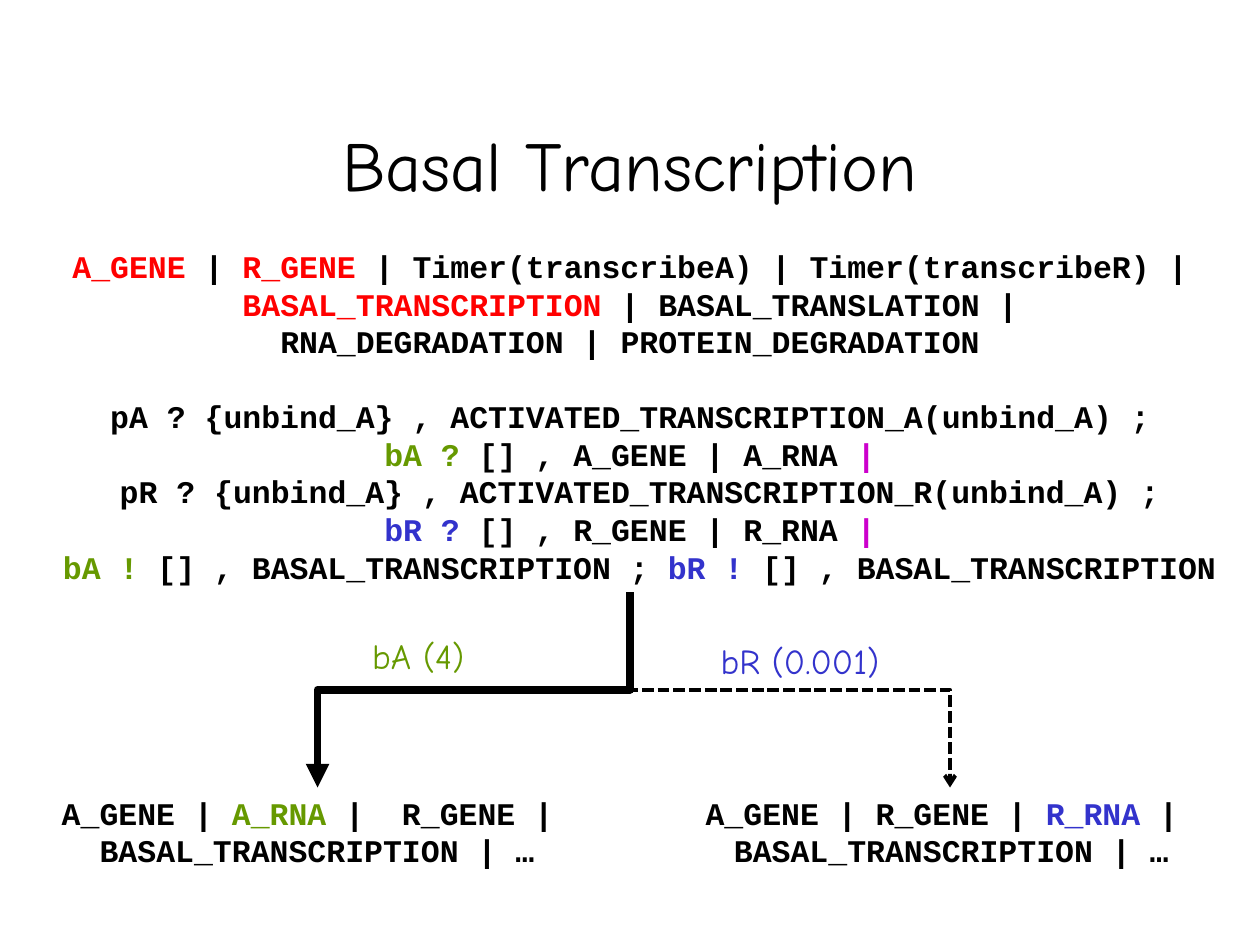
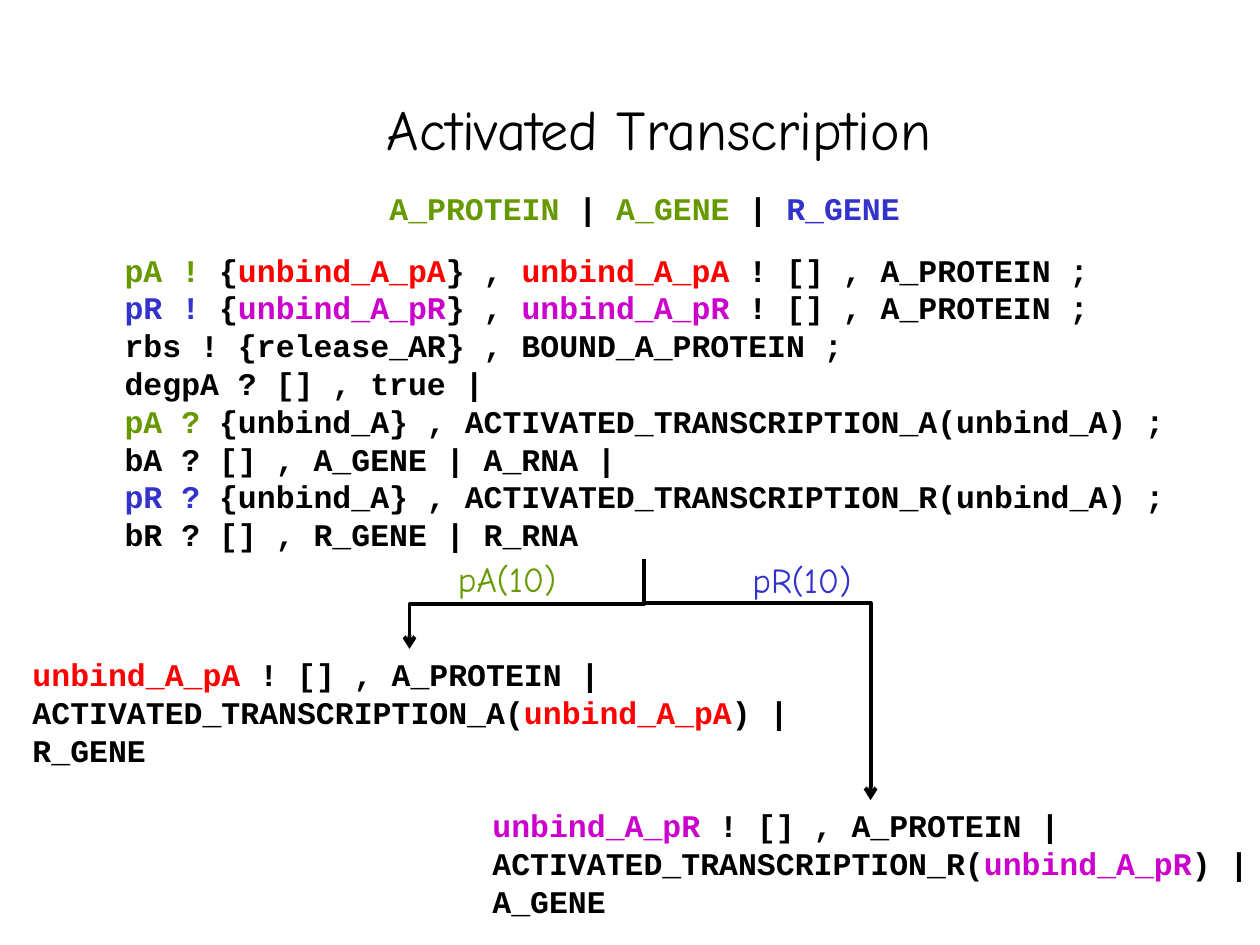
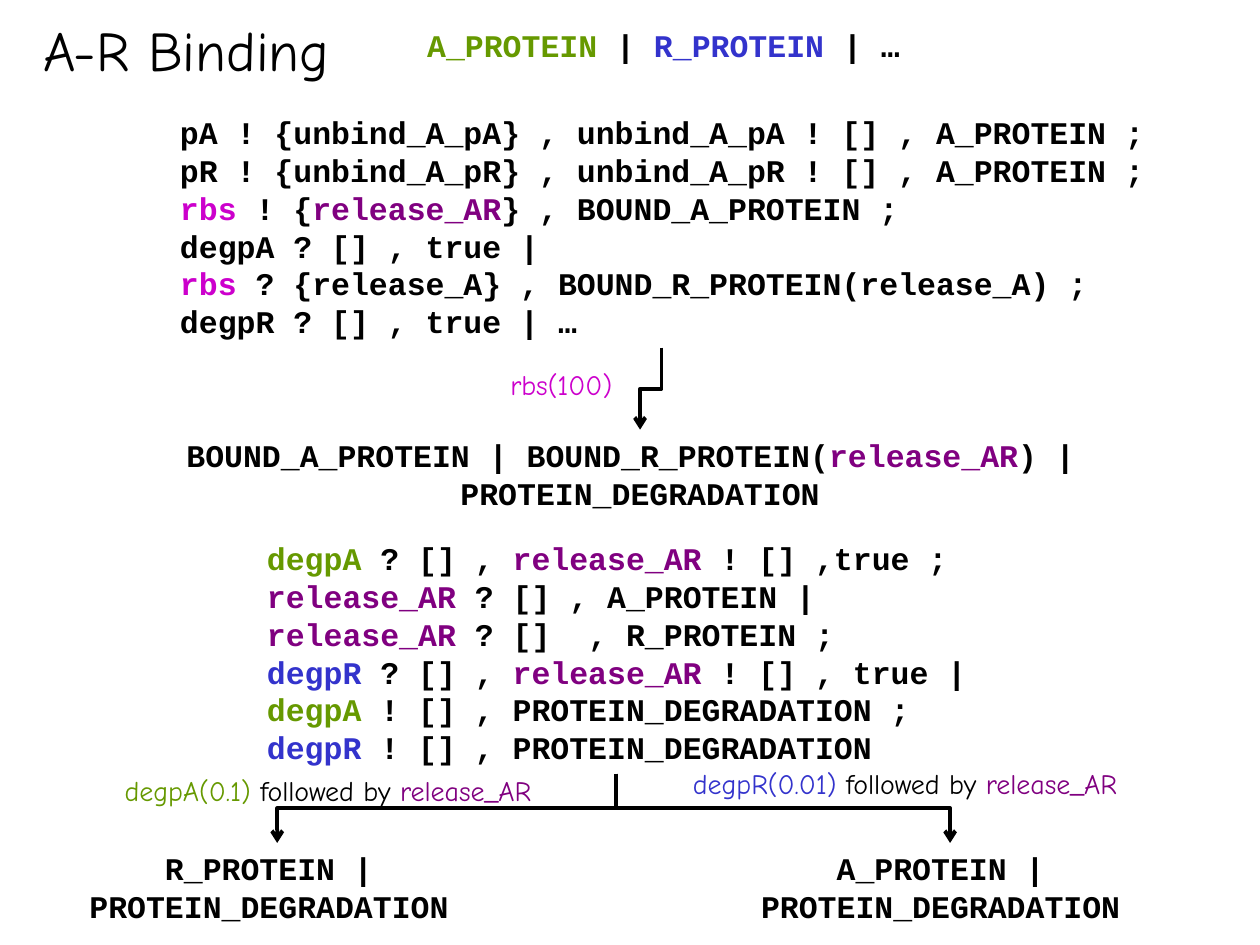
from copy import deepcopy

from lxml import etree
from pptx import Presentation
from pptx.dml.color import RGBColor
from pptx.enum.dml import MSO_LINE
from pptx.enum.shapes import MSO_CONNECTOR
from pptx.enum.text import MSO_ANCHOR, MSO_AUTO_SIZE, PP_ALIGN
from pptx.oxml.ns import qn
from pptx.util import Pt

ELBOW = MSO_CONNECTOR.ELBOW
DOTTED = MSO_LINE.SQUARE_DOT
MIDDLE, TOP = MSO_ANCHOR.MIDDLE, MSO_ANCHOR.TOP
FIXED, GROW = MSO_AUTO_SIZE.NONE, MSO_AUTO_SIZE.SHAPE_TO_FIT_TEXT
LEFT, CENTER = PP_ALIGN.LEFT, PP_ALIGN.CENTER

EMU_PER_PX = 9144  # 100 px to the inch
TITLE_ONLY = 5
HAND_FONT, CODE_FONT = "Comic Neue", "Courier New"
COLORS = {
    "black": "000000",
    "white": "FFFFFF",
    "red": "FF0000",
    "green": "669900",
    "blue": "3333CC",
    "pink": "CC00CC",
    "purple": "800080",
}


def px(length):
    return round(length * EMU_PER_PX)


def rgb(name):
    return RGBColor.from_string(COLORS[name])


def colored_pieces(line):
    """Split 'plain <green:word> plain' into (text, colour) pairs."""
    plain, *marked = line.split("<")
    pieces = [(plain, "black")]
    for part in marked:
        color, rest = part.split(":", 1)
        word, after = rest.split(">", 1)
        pieces += [(word, color), (after, "black")]
    return [piece for piece in pieces if piece[0]]


class Deck:
    def __init__(self):
        self.prs = Presentation()
        self.prs.slide_width, self.prs.slide_height = px(1000), px(750)
        self.slide = None

    def new_slide(self, title, box, size):
        self.slide = self.prs.slides.add_slide(self.prs.slide_layouts[TITLE_ONLY])
        heading = self.slide.shapes.title
        heading.left, heading.top, heading.width, heading.height = map(px, box)
        frame = heading.text_frame
        frame.text = title
        frame.auto_size, frame.vertical_anchor = FIXED, MIDDLE
        frame.paragraphs[0].alignment = CENTER
        self.style_run(frame.paragraphs[0].runs[0], HAND_FONT, size, "black")

    def style_run(self, run, font, size, color, bold=False):
        run.font.name, run.font.size, run.font.bold = font, Pt(size), bold
        run.font.color.rgb = rgb(color)

    def text_box(self, box, text, font, size, bold, align, wrap=False):
        """Add a text box; line breaks take the format of the run before."""
        shape = self.slide.shapes.add_textbox(*map(px, box))
        frame = shape.text_frame
        frame.word_wrap = wrap
        paragraph = frame.paragraphs[0]
        paragraph.alignment = align
        for number, line in enumerate(text.split("\n")):
            if number:
                last_run = paragraph.runs[-1]._r
                paragraph.add_line_break()
                last_run.getnext().append(deepcopy(last_run.rPr))
            for piece, color in colored_pieces(line):
                run = paragraph.add_run()
                run.text = piece
                self.style_run(run, font, size, color, bold)
        return shape

    def code(self, box, text, align=CENTER, wrap=False):
        shape = self.text_box(box, text, CODE_FONT, 18, True, align, wrap)
        shape.text_frame.auto_size = GROW
        shape.text_frame.vertical_anchor = TOP

    def label(self, box, text, size=20, filled=False):
        shape = self.text_box(box, text, HAND_FONT, size, False, CENTER)
        shape.text_frame.auto_size = FIXED
        shape.text_frame.vertical_anchor = MIDDLE
        if filled:
            shape.fill.solid()
            shape.fill.fore_color.rgb = rgb("white")

    def arrow(self, start, end, weight=2.25, head="arrow", dash=None, bend=50):
        """Elbow arrow that leaves downwards and turns at bend percent."""
        (x1, y1), (x2, y2) = start, end
        mid_x, mid_y = (x1 + x2) / 2, (y1 + y2) / 2
        half_w, half_h = (y2 - y1) / 2, abs(x2 - x1) / 2
        corners = (mid_x - half_w, mid_y - half_h, mid_x + half_w, mid_y + half_h)
        link = self.slide.shapes.add_connector(ELBOW, *map(px, corners))
        link.line.color.rgb = rgb("black")
        link.line.width = Pt(weight)
        if dash:
            link.line.dash_style = dash
        # Turn the elbow upright
        properties = link._element.spPr
        xfrm = properties.find(qn("a:xfrm"))
        to_right = x2 > x1
        xfrm.set("rot", str((270 if to_right else 90) * 60000))
        if to_right:
            xfrm.set("flipH", "1")
        adjust = properties.find(qn("a:prstGeom")).find(qn("a:avLst"))
        etree.SubElement(adjust, qn("a:gd"), name="adj1", fmla=f"val {bend * 1000}")
        # Arrowhead, and no shadow
        outline = properties.find(qn("a:ln"))
        etree.SubElement(outline, qn("a:tailEnd"), type=head)
        etree.SubElement(properties, qn("a:effectLst"))


def basal_transcription(deck):
    deck.new_slide("Basal Transcription", (75, 67, 850, 125), 40)
    # System and its expansion
    deck.code((0, 191, 1000, 100),
              "<red:A_GENE> | <red:R_GENE> | Timer(transcribeA) | Timer(transcribeR) | "
              "<red:BASAL_TRANSCRIPTION> | BASAL_TRANSLATION |\n"
              "RNA_DEGRADATION | PROTEIN_DEGRADATION", wrap=True)
    deck.code((25, 310, 950, 160),
              "pA ? {unbind_A} , ACTIVATED_TRANSCRIPTION_A(unbind_A) ;\n"
              "<green:bA ?> [] , A_GENE | A_RNA <pink:|>\n"
              " pR ? {unbind_A} , ACTIVATED_TRANSCRIPTION_R(unbind_A) ;\n"
              "<blue:bR ?> [] , R_GENE | R_RNA <pink:|>\n"
              " <green:bA !> [] , BASAL_TRANSCRIPTION ; "
              "<blue:bR !> [] , BASAL_TRANSCRIPTION")
    # Rates
    deck.label((260, 499, 144, 42), "<green:bA (4)>")
    deck.label((563, 503, 144, 42), "<blue:bR (0.001)>")
    # Outcomes
    deck.code((39, 625, 425, 70),
              "A_GENE | <green:A_RNA> |  R_GENE | \nBASAL_TRANSCRIPTION | …")
    deck.code((550, 625, 410, 70),
              "A_GENE | R_GENE | <blue:R_RNA> | \nBASAL_TRANSCRIPTION | …")
    fork = (500, 470)
    deck.arrow(fork, (252, 625), weight=4.5, head="triangle")
    deck.arrow(fork, (754, 625), dash=DOTTED)


def activated_transcription(deck):
    deck.new_slide("Activated Transcription", (75, 67, 896, 69), 32)
    # System and its expansion
    deck.code((299, 145, 425, 40),
              "<green:A_PROTEIN> | <green:A_GENE> | <blue:R_GENE>")
    deck.code((89, 194, 845, 250),
              "<green:pA !> {<red:unbind_A_pA>} , <red:unbind_A_pA> ! [] , A_PROTEIN ;\n"
              "<blue:pR !> {<pink:unbind_A_pR>} , <pink:unbind_A_pR> ! [] , A_PROTEIN ;\n"
              "rbs ! {release_AR} , BOUND_A_PROTEIN ;\n"
              "degpA ? [] , true |\n"
              "<green:pA ?> {unbind_A} , ACTIVATED_TRANSCRIPTION_A(unbind_A) ;\n"
              "bA ? [] , A_GENE | A_RNA |\n"
              "<blue:pR ?> {unbind_A} , ACTIVATED_TRANSCRIPTION_R(unbind_A) ;\n"
              "bR ? [] , R_GENE | R_RNA", LEFT)
    # Rates
    deck.label((347, 439, 111, 40), "<green:pA(10)>", filled=True)
    deck.label((581, 440, 111, 40), "<blue:pR(10)>", filled=True)
    # Outcomes
    deck.code((16, 515, 620, 100),
              "<red:unbind_A_pA> ! [] , A_PROTEIN |\n"
              "ACTIVATED_TRANSCRIPTION_A(<red:unbind_A_pA>) |\nR_GENE", LEFT)
    deck.code((381, 635, 620, 100),
              "<pink:unbind_A_pR> ! [] , A_PROTEIN |\n"
              "ACTIVATED_TRANSCRIPTION_R(<pink:unbind_A_pR>) |\nA_GENE", LEFT)
    fork = (511, 444)
    deck.arrow(fork, (325, 515))
    deck.arrow(fork, (691, 635), bend=18)


def binding(deck):
    deck.new_slide("A-R Binding", (0, 7, 296, 64), 32)
    # System and its expansion
    deck.code((329, 16, 395, 40), "<green:A_PROTEIN> | <blue:R_PROTEIN> | …")
    deck.code((133, 85, 785, 190),
              "pA ! {unbind_A_pA} , unbind_A_pA ! [] , A_PROTEIN ;\n"
              "pR ! {unbind_A_pR} , unbind_A_pR ! [] , A_PROTEIN ;\n"
              "<pink:rbs> ! {<purple:release_AR>} , BOUND_A_PROTEIN ;\n"
              "degpA ? [] , true |\n"
              "<pink:rbs> ? {release_A} , BOUND_R_PROTEIN(release_A) ;\n"
              "degpR ? [] , true | …", LEFT)
    # Bound state and its expansion
    deck.code((138, 341, 740, 70),
              "BOUND_A_PROTEIN | BOUND_R_PROTEIN(<purple:release_AR>) | \n"
              "PROTEIN_DEGRADATION")
    deck.arrow((525, 276), (508, 341))
    deck.label((390, 285, 111, 40), "<pink:rbs(100)>", 16, filled=True)
    deck.code((202, 423, 575, 190),
              "<green:degpA> ? [] , <purple:release_AR> ! [] ,true ; \n"
              "<purple:release_AR> ? [] , A_PROTEIN |\n"
              "<purple:release_AR> ? []  , R_PROTEIN ; \n"
              "<blue:degpR> ? [] , <purple:release_AR> ! [] , true |\n"
              "<green:degpA> ! [] , PROTEIN_DEGRADATION ;\n"
              "<blue:degpR> ! [] , PROTEIN_DEGRADATION", LEFT)
    # Outcomes
    fork = (489, 614)
    for protein, left, tip in (("R", 61, 220), ("A", 594, 754)):
        deck.code((left, 669, 320, 70), f"{protein}_PROTEIN | \nPROTEIN_DEGRADATION ")
        deck.arrow(fork, (tip, 669))
    # Rates
    deck.label((88, 609, 352, 37),
               "<green:degpA(0.1)> followed by <purple:release_AR >", 16)
    deck.label((539, 602, 366, 40),
               "<blue:degpR(0.01)> followed by <purple:release_AR >", 16)


def main():
    deck = Deck()
    basal_transcription(deck)
    activated_transcription(deck)
    binding(deck)
    deck.prs.save("out.pptx")


if __name__ == "__main__":
    main()
